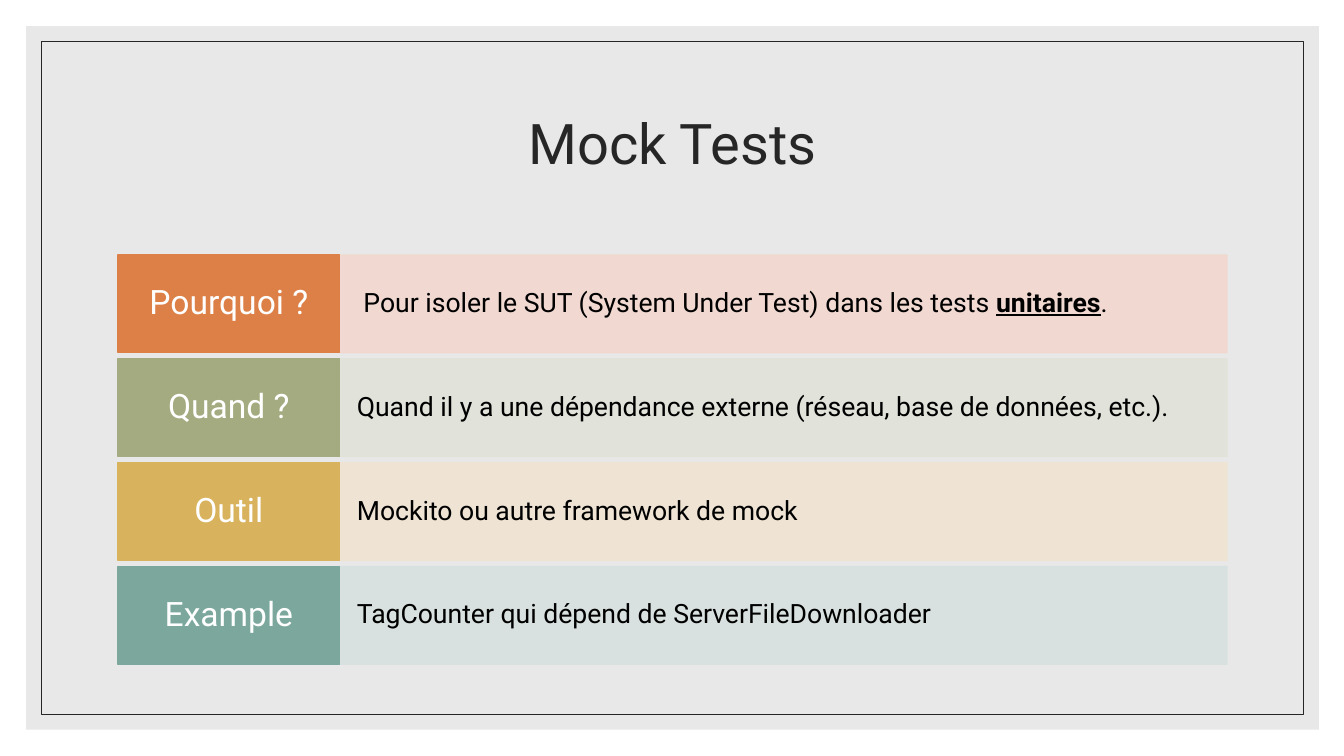
from lxml.etree import SubElement
from pptx import Presentation
from pptx.dml.color import RGBColor
from pptx.enum.shapes import MSO_SHAPE
from pptx.enum.text import MSO_ANCHOR, PP_ALIGN
from pptx.oxml.ns import qn
from pptx.util import Inches, Pt

COLORS = {
    "panel": "D9D9D9", "ink": "262626", "black": "000000", "white": "FFFFFF",
    "orange": "DD8047", "rose": "F2D8CF",
    "olive": "A5AB81", "sage": "E1E2D8",
    "gold": "D8B25C", "cream": "F0E4D2",
    "teal": "7BA79D", "mist": "D7E1DF",
}

# Grid of the rows, in inches
LEFT, TOP = 1.17, 2.53
LABEL, BODY = 2.2, 8.8
HEIGHT, STEP = 0.97, 1.03

# Text formats: font values, alignment and insets
TITLE = {"font": {"size": Pt(40)}, "color": "ink",
         "align": PP_ALIGN.CENTER, "inset": (0.1, 0.05)}
HEAD = {"font": {"size": Pt(24)}, "color": "white",
        "align": PP_ALIGN.CENTER, "inset": (0.12, 0.1)}
NOTE = {"font": {"size": Pt(19)}, "color": "black",
        "align": PP_ALIGN.LEFT, "inset": (0.17, 0.25)}
STRONG = {"bold": True, "underline": True}

# Label, its colour, body colour, and runs of (text, extra font values)
ROWS = [
    ("Pourquoi ?", "orange", "rose",
     [(" Pour isoler le SUT (System Under Test) dans les tests ", {}),
      ("unitaires", STRONG), (".", {})]),
    ("Quand ?", "olive", "sage",
     [("Quand il y a une dépendance externe (réseau, base de données, etc.).", {})]),
    ("Outil", "gold", "cream", [("Mockito ou autre framework de mock", {})]),
    ("Example", "teal", "mist",
     [("TagCounter qui dépend de ServerFileDownloader", {})]),
]


def paint(fill, color, alpha=100):
    fill.solid()
    fill.fore_color.rgb = RGBColor.from_string(COLORS[color])
    if alpha < 100:
        node = fill._xPr.find(qn("a:solidFill"))[0]
        SubElement(node, qn("a:alpha"), val=str(alpha * 1000))


def add_box(slide, area, fill=None, line=None, width=1, alpha=100):
    box = slide.shapes.add_shape(MSO_SHAPE.RECTANGLE, *map(Inches, area))
    box.shadow.inherit = False
    if fill:
        paint(box.fill, fill, alpha)
    else:
        box.fill.background()
    if line:
        paint(box.line.fill, line, alpha)
        box.line.width = Pt(width)
    else:
        box.line.fill.background()
    return box


def write(box, runs, style):
    side, edge = map(Inches, style["inset"])
    frame = box.text_frame
    layout = {"word_wrap": True, "vertical_anchor": MSO_ANCHOR.MIDDLE,
              "margin_left": side, "margin_right": side,
              "margin_top": edge, "margin_bottom": edge}
    for name, value in layout.items():
        setattr(frame, name, value)
    para = frame.paragraphs[0]
    para.alignment = style["align"]
    para.line_spacing = 0.9
    for text, extra in runs:
        run = para.add_run()
        run.text = text
        for name, value in {"name": "Roboto", **style["font"], **extra}.items():
            setattr(run.font, name, value)
        run.font.color.rgb = RGBColor.from_string(COLORS[style["color"]])


def add_row(slide, index, label, dark, light, runs):
    top = TOP + index * STEP
    body = add_box(slide, (LEFT + LABEL, top, BODY, HEIGHT), light, light, alpha=90)
    write(body, runs, NOTE)
    head = add_box(slide, (LEFT, top, LABEL, HEIGHT), dark, dark)
    write(head, [(label, {})], HEAD)


def main():
    deck = Presentation()
    deck.slide_width, deck.slide_height = Inches(13.33), Inches(7.5)
    slide = deck.slides.add_slide(deck.slide_layouts[6])

    # Backdrop and thin frame
    add_box(slide, (0.26, 0.26, 12.82, 6.98), fill="panel", alpha=60)
    add_box(slide, (0.41, 0.41, 12.52, 6.68), line="ink", width=0.5)

    # Title
    title = slide.shapes.add_textbox(*map(Inches, (LEFT, 0.7, LABEL + BODY, 1.5)))
    write(title, [("Mock Tests", {})], TITLE)

    # Question rows
    for index, row in enumerate(ROWS):
        add_row(slide, index, *row)

    deck.save("out.pptx")


if __name__ == "__main__":
    main()
